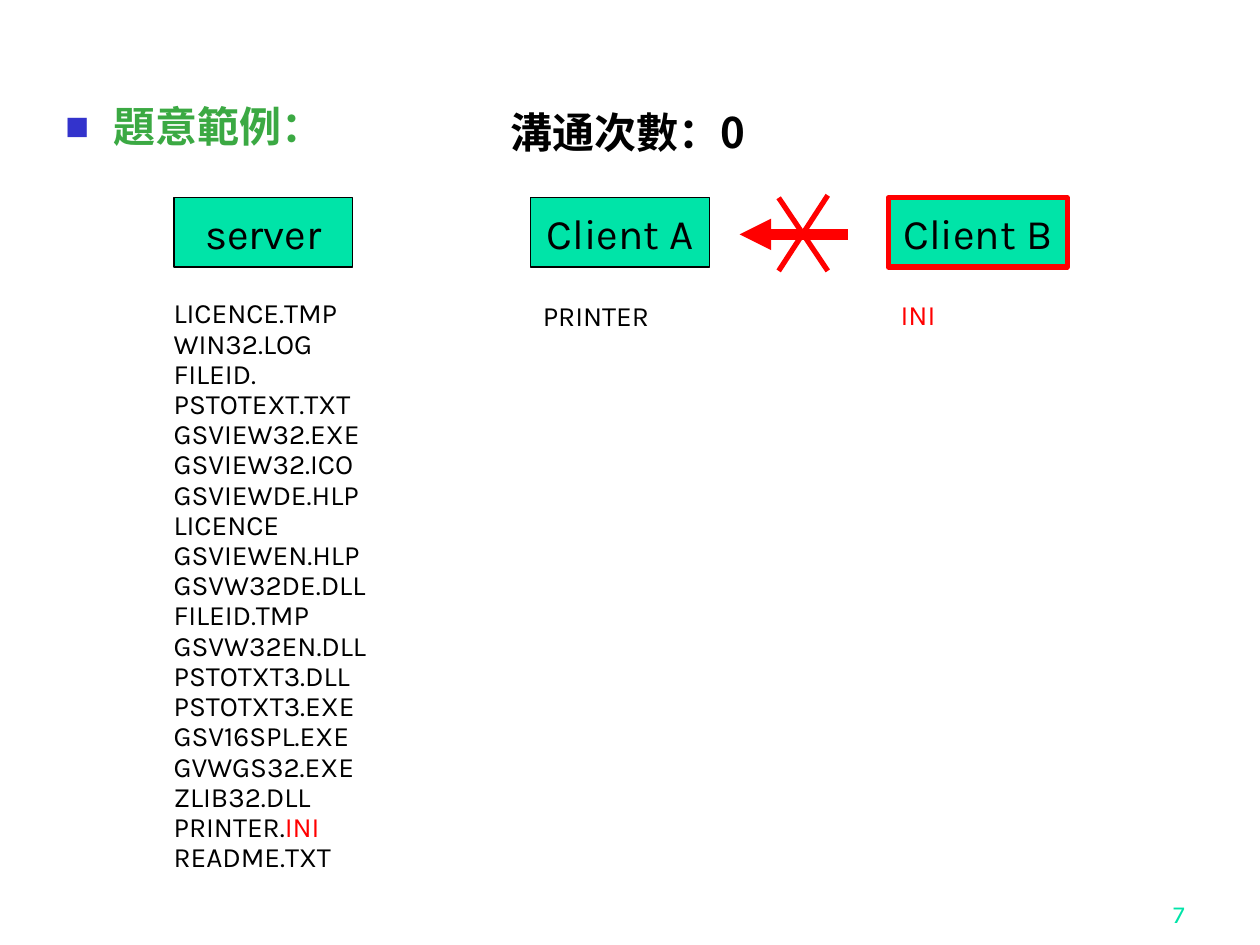
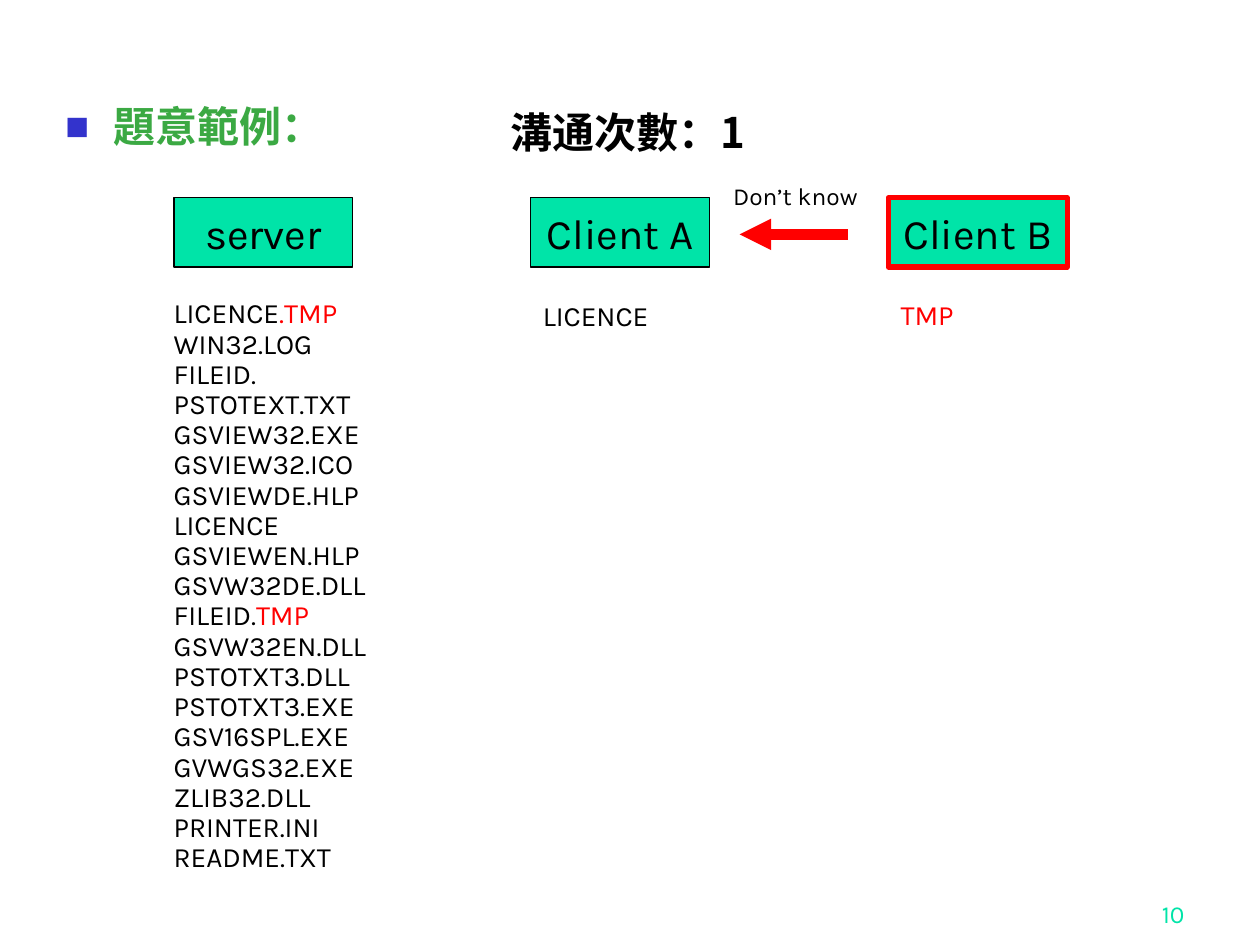
from dataclasses import dataclass

from pptx import Presentation
from pptx import util as u
from pptx.dml.color import RGBColor
from pptx.enum import shapes, text
from pptx.oxml.ns import qn
from lxml import etree


@dataclass(frozen=True)
class Theme:
    mint: str = "00E4A8"
    green: str = "3BA943"
    blue: str = "3333CC"
    red: str = "FF0000"
    black: str = "000000"
    latin: str = "Karla"
    serif: str = "Times New Roman"
    cjk: str = "Noto Sans CJK SC"
    large: int = 24
    body: int = 16
    small: int = 14


FILES = [
    "LICENCE.TMP", "WIN32.LOG", "FILEID.", "PSTOTEXT.TXT", "GSVIEW32.EXE",
    "GSVIEW32.ICO", "GSVIEWDE.HLP", "LICENCE", "GSVIEWEN.HLP", "GSVW32DE.DLL",
    "FILEID.TMP", "GSVW32EN.DLL", "PSTOTXT3.DLL", "PSTOTXT3.EXE",
    "GSV16SPL.EXE", "GVWGS32.EXE", "ZLIB32.DLL", "PRINTER.INI", "README.TXT",
]
COLUMNS = {"server": 1.38, "Client A": 4.21, "Client B": 7.05}


class Deck:
    def __init__(self, theme):
        self.theme = theme
        self.prs = Presentation()
        self.prs.slide_width, self.prs.slide_height = u.Inches(10), u.Inches(7.5)
        self.slide = None

    def new_slide(self):
        self.slide = self.prs.slides.add_slide(self.prs.slide_layouts[6])

    def style(self, run, size, color, font=None, bold=False):
        run.font.size = u.Pt(size)
        run.font.color.rgb = RGBColor.from_string(color)
        run.font.name = font or self.theme.latin
        run.font.bold = bold
        east_asian = etree.SubElement(run.font._element, qn("a:ea"))
        east_asian.set("typeface", self.theme.cjk)

    def label(self, words, left, top, width, height, size, color=None, font=None,
              bold=False, wrap=True, grow=True, spacing=None):
        box = self.slide.shapes.add_textbox(*map(u.Inches, (left, top, width, height)))
        frame = box.text_frame
        frame.text = words
        frame.word_wrap = wrap
        fit = text.MSO_AUTO_SIZE
        frame.auto_size = fit.SHAPE_TO_FIT_TEXT if grow else fit.NONE
        for paragraph in frame.paragraphs:
            paragraph.line_spacing = spacing
            for run in paragraph.runs:
                self.style(run, size, color or self.theme.black, font, bold)
        return frame

    def heading(self, words):
        t = self.theme
        frame = self.label(words, 0.42, 0.75, 8.83, 6.29, t.large, t.green,
                           t.serif, bold=True, grow=False)
        props = frame.paragraphs[0]._p.get_or_add_pPr()
        props.set("marL", str(u.Inches(0.38)))
        props.set("indent", str(-u.Inches(0.38)))
        bullet_color = etree.SubElement(props, qn("a:buClr"))
        etree.SubElement(bullet_color, qn("a:srgbClr")).set("val", t.blue)
        etree.SubElement(props, qn("a:buSzPct")).set("val", "60000")
        etree.SubElement(props, qn("a:buFont")).set("typeface", t.latin)
        etree.SubElement(props, qn("a:buChar")).set("char", "■")

    def page_number(self, number):
        frame = self.label(str(number), 7.42, 6.92, 2.08, 0.5, self.theme.small,
                           self.theme.mint, grow=False)
        frame.vertical_anchor = text.MSO_ANCHOR.BOTTOM
        frame.paragraphs[0].alignment = text.PP_ALIGN.RIGHT

    def machine(self, name, left, active=False):
        t = self.theme
        box = self.slide.shapes.add_shape(
            shapes.MSO_SHAPE.RECTANGLE, *map(u.Inches, (left, 1.57, 1.42, 0.55)))
        box.shadow.inherit = False
        box.fill.solid()
        box.fill.fore_color.rgb = RGBColor.from_string(t.mint)
        box.line.color.rgb = RGBColor.from_string(t.red if active else t.black)
        box.line.width = u.Pt(3 if active else 0.75)
        frame = box.text_frame
        frame.text = name
        frame.word_wrap = False
        frame.vertical_anchor = text.MSO_ANCHOR.MIDDLE
        frame.paragraphs[0].alignment = text.PP_ALIGN.CENTER
        self.style(frame.paragraphs[0].runs[0], t.large, t.black)

    def file_list(self, matches):
        t = self.theme
        frame = self.label("\n".join(FILES), 1.28, 2.33, 1.87, 4.66, t.body,
                           wrap=False, spacing=0.9)
        for name, paragraph in zip(FILES, frame.paragraphs):
            if name in matches:
                paragraph.runs[0].text = name.removesuffix(matches[name])
                match = paragraph.add_run()
                match.text = matches[name]
                self.style(match, t.body, t.red)

    def line(self, start, end, width, arrow=False):
        link = self.slide.shapes.add_connector(
            shapes.MSO_CONNECTOR.STRAIGHT, *map(u.Inches, (*start, *end)))
        link.line.color.rgb = RGBColor.from_string(self.theme.red)
        link.line.width = u.Pt(width)
        if arrow:
            etree.SubElement(link.line._get_or_add_ln(), qn("a:tailEnd")).set("type", "triangle")
        etree.SubElement(link._element.spPr, qn("a:effectLst"))

    def example(self, page, count, name, extension, matches):
        t = self.theme
        self.new_slide()
        self.page_number(page)
        self.heading("題意範例：")
        for machine, left in COLUMNS.items():
            self.machine(machine, left, active=machine == "Client B")
        self.file_list(matches)
        self.label(name, COLUMNS["Client A"], 2.32, 1.13, 0.37, t.body)
        self.label(extension, COLUMNS["Client B"], 2.31, 1.13, 0.37, t.body, t.red)
        self.label(f"溝通次數：{count}", 3.95, 0.84, 2.09, 0.82, t.large,
                   font=t.cjk, bold=True, spacing=0.9)
        self.line((6.73, 1.86), (5.87, 1.86), 6, arrow=True)


def main():
    deck = Deck(Theme())
    deck.example(7, 0, "PRINTER", "INI", {"PRINTER.INI": "INI"})
    deck.line((6.57, 1.55), (6.18, 2.15), 3)
    deck.line((6.18, 1.57), (6.57, 2.15), 3)

    deck.example(10, 1, "LICENCE", "TMP", {"LICENCE.TMP": ".TMP", "FILEID.TMP": "TMP"})
    deck.label("Don’t know", 5.72, 1.39, 1.23, 0.34, deck.theme.small, wrap=False)
    deck.prs.save("out.pptx")


if __name__ == "__main__":
    main()
